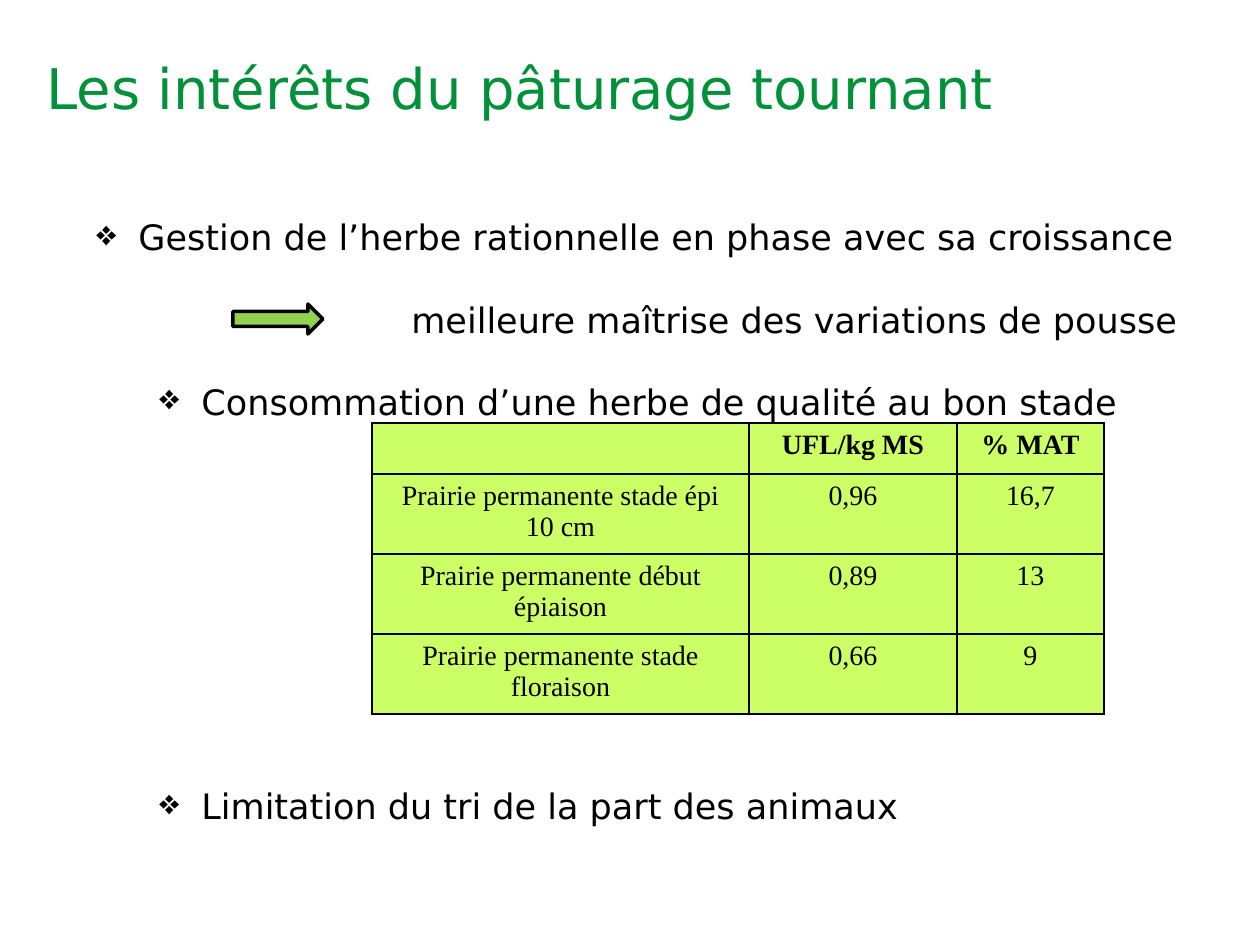
import dataclasses

import lxml.etree
import pptx
import pptx.dml.color
import pptx.enum.shapes
import pptx.enum.text
import pptx.oxml.ns
import pptx.util

PX_PER_INCH = 126
BULLET_WIDTH = 42


@dataclasses.dataclass(frozen=True)
class Theme:
    title_color: str = "009139"
    text_color: str = "000000"
    cell_color: str = "CCFF66"
    arrow_color: str = "92D050"
    title_size: int = 32
    body_size: int = 20
    table_size: int = 16
    body_font: str = "DejaVu Sans"
    table_font: str = "Times New Roman"


THEME = Theme()

BODY = [
    ("Gestion de l’herbe rationnelle en phase avec sa croissance", 0, True, 0),
    ("meilleure maîtrise des variations de pousse", 315, False, 11),
    ("Consommation d’une herbe de qualité au bon stade", 63, True, 11),
    ("Limitation du tri de la part des animaux", 63, True, 195),
]

FEED_VALUES = [
    ("", "UFL/kg MS", "% MAT"),
    ("Prairie permanente stade épi 10 cm", "0,96", "16,7"),
    ("Prairie permanente début épiaison", "0,89", "13"),
    ("Prairie permanente stade floraison", "0,66", "9"),
]


def px(length):
    return pptx.util.Emu(round(length * 914400 / PX_PER_INCH))


def rgb(color):
    return pptx.dml.color.RGBColor.from_string(color)


def add_child(parent, tag, **attributes):
    return lxml.etree.SubElement(parent, pptx.oxml.ns.qn(tag), attributes)


def style_font(font, name, size, color, bold=False):
    font.name = name
    font.size = pptx.util.Pt(size)
    font.bold = bold
    font.color.rgb = rgb(color)


def add_text_box(slide, left, top, width, height):
    shape = slide.shapes.add_textbox(px(left), px(top), px(width), px(height))
    shape.text_frame.word_wrap = True
    return shape.text_frame


def add_title(slide, text):
    text_frame = add_text_box(slide, 34, 8, 1071, 158)
    text_frame.vertical_anchor = pptx.enum.text.MSO_ANCHOR.MIDDLE
    text_frame.text = text
    run = text_frame.paragraphs[0].runs[0]
    style_font(run.font, THEME.body_font, THEME.title_size, THEME.title_color)


def indent_paragraph(paragraph, indent, bulleted):
    properties = paragraph._p.get_or_add_pPr()
    hanging = BULLET_WIDTH if bulleted else 0
    properties.set("marL", str(px(indent + hanging)))
    properties.set("indent", str(px(-hanging)))
    if bulleted:
        add_child(properties, "a:buChar", char="❖")
    else:
        add_child(properties, "a:buNone")


def add_body(slide, lines):
    text_frame = add_text_box(slide, 84, 186, 1142, 670)
    text_frame.margin_top = px(9)
    text_frame.text = "\n".join(line[0] for line in lines)
    for paragraph, (_, indent, bulleted, gap) in zip(text_frame.paragraphs, lines):
        indent_paragraph(paragraph, indent, bulleted)
        paragraph.line_spacing = 1.5
        paragraph.space_before = pptx.util.Pt(gap)
        style_font(paragraph.runs[0].font, THEME.body_font, THEME.body_size, THEME.text_color)


def add_borders(cell):
    properties = cell._tc.get_or_add_tcPr()
    for side in ("a:lnL", "a:lnR", "a:lnT", "a:lnB"):
        line = add_child(properties, side, w=str(pptx.util.Pt(1)))
        fill = add_child(line, "a:solidFill")
        add_child(fill, "a:srgbClr", val=THEME.text_color)


def fill_cell(cell, text, bold):
    add_borders(cell)
    cell.fill.solid()
    cell.fill.fore_color.rgb = rgb(THEME.cell_color)
    cell.text_frame.text = text
    paragraph = cell.text_frame.paragraphs[0]
    paragraph.alignment = pptx.enum.text.PP_ALIGN.CENTER
    for run in paragraph.runs:
        style_font(run.font, THEME.table_font, THEME.table_size, THEME.text_color, bold)


def add_feed_table(slide, rows):
    widths = (377, 208, 147)
    heights = (51, 80, 80, 80)
    frame = slide.shapes.add_table(
        len(rows), len(widths), px(372), px(423), px(sum(widths)), px(sum(heights))
    )
    table = frame.table
    for column, width in zip(table.columns, widths):
        column.width = px(width)
    for row, height in zip(table.rows, heights):
        row.height = px(height)
    for row_index, values in enumerate(rows):
        for column_index, value in enumerate(values):
            fill_cell(table.cell(row_index, column_index), value, row_index == 0)


def add_arrow(slide):
    shape = slide.shapes.add_shape(
        pptx.enum.shapes.MSO_SHAPE.RIGHT_ARROW, px(233), px(304), px(90), px(30)
    )
    shape.shadow.inherit = False
    shape.fill.solid()
    shape.fill.fore_color.rgb = rgb(THEME.arrow_color)
    shape.line.color.rgb = rgb(THEME.text_color)
    shape.line.width = pptx.util.Pt(2)


def main():
    presentation = pptx.Presentation()
    presentation.slide_width = px(1260)
    presentation.slide_height = px(945)
    slide = presentation.slides.add_slide(presentation.slide_layouts[6])
    add_title(slide, "Les intérêts du pâturage tournant")
    add_body(slide, BODY)
    add_feed_table(slide, FEED_VALUES)
    add_arrow(slide)
    presentation.save("out.pptx")


if __name__ == "__main__":
    main()
